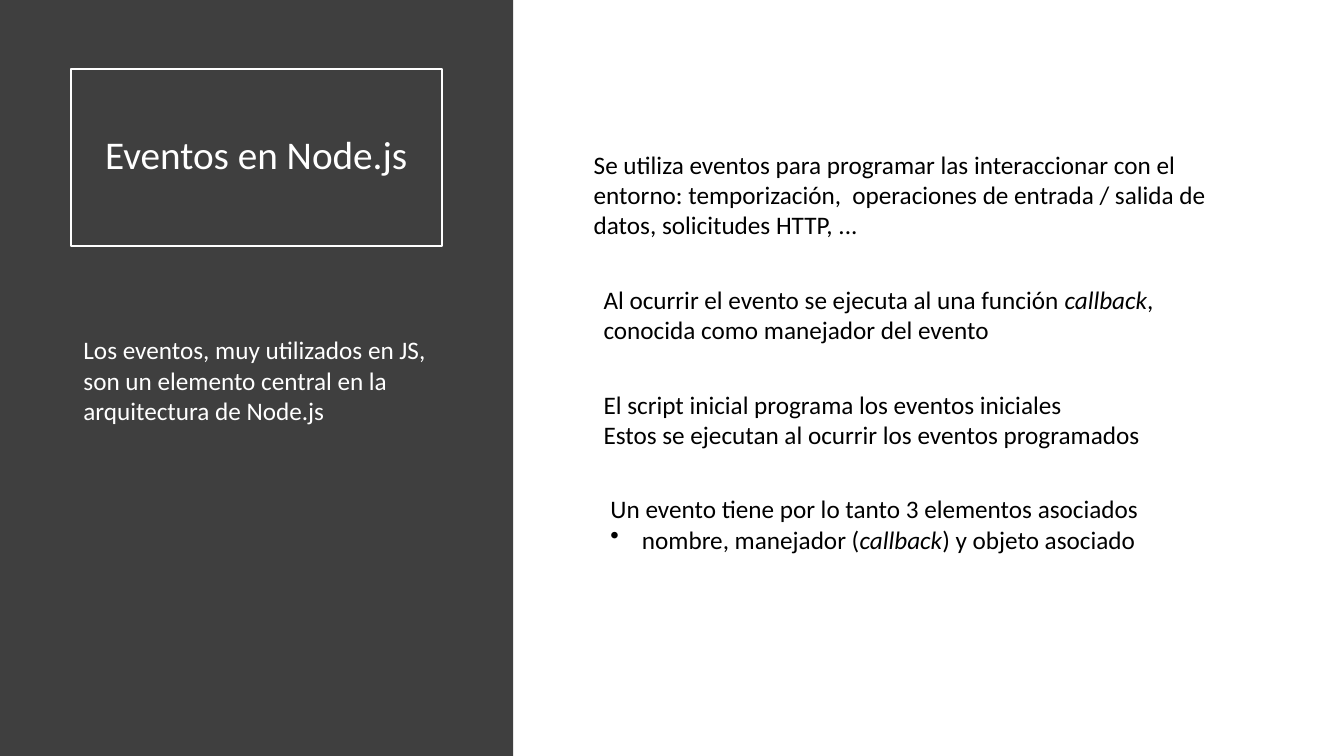
import lxml.etree
import pptx
import pptx.dml.color
import pptx.enum.shapes
import pptx.enum.text
import pptx.oxml.ns
import pptx.util

Pt = pptx.util.Pt
WHITE = pptx.dml.color.RGBColor(0xFF, 0xFF, 0xFF)
BLACK = pptx.dml.color.RGBColor(0, 0, 0)
CHARCOAL = pptx.dml.color.RGBColor(0x3F, 0x3F, 0x3F)


def write_paragraph(paragraph, text, size=18, color=BLACK, bullet=None, indent=22.5):
    """Fill a paragraph; parts of the text between asterisks are set in italics."""
    if bullet:
        properties = paragraph._p.get_or_add_pPr()
        properties.set("marL", str(Pt(indent)))
        properties.set("indent", str(-Pt(indent)))
        mark = lxml.etree.SubElement(properties, pptx.oxml.ns.qn("a:buChar"))
        mark.set("char", bullet)
    for position, part in enumerate(text.split("*")):
        run = paragraph.add_run()
        run.text = part
        run.font.name = "Calibri"
        run.font.size = Pt(size)
        run.font.color.rgb = color
        run.font.italic = position % 2 == 1


deck = pptx.Presentation()
deck.slide_width, deck.slide_height = Pt(960), Pt(540)
slide = deck.slides.add_slide(deck.slide_layouts[5])

title = slide.shapes.title
title.left, title.top, title.width, title.height = Pt(50.5), Pt(49), Pt(265), Pt(126.5)
title.line.color.rgb = WHITE
title.line.width = Pt(1.5)
title.text_frame.word_wrap = True
title.text_frame.auto_size = pptx.enum.text.MSO_AUTO_SIZE.NONE
title.text_frame.vertical_anchor = pptx.enum.text.MSO_ANCHOR.MIDDLE
heading = title.text_frame.paragraphs[0]
heading.alignment = pptx.enum.text.PP_ALIGN.CENTER
heading.line_spacing = 0.9
write_paragraph(heading, "Eventos en Node.js", size=28, color=WHITE)

side_panel = slide.shapes.add_shape(
    pptx.enum.shapes.MSO_SHAPE.RECTANGLE, 0, 0, Pt(366.5), deck.slide_height)
side_panel.shadow.inherit = False
side_panel.fill.solid()
side_panel.fill.fore_color.rgb = CHARCOAL
side_panel.line.fill.background()
title._element.addprevious(side_panel._element)  # the panel lies behind the title

# left, top, width, height, colour, paragraphs as (text, bullet)
statements = [
    (52.5, 235.5, 265, 72.7, WHITE, [
        ("Los eventos, muy utilizados en JS, son un elemento central en la "
         "arquitectura de Node.js", None)]),
    (417, 103, 478, 72.7, BLACK, [
        ("Se utiliza eventos para programar las interaccionar con el entorno: "
         "temporización,  operaciones de entrada / salida de datos, "
         "solicitudes HTTP, ...", None)]),
    (424, 199.5, 464.5, 51, BLACK, [
        ("Al ocurrir el evento se ejecuta al una función *callback*, conocida "
         "como manejador del evento", None)]),
    (424, 274.5, 478, 51, BLACK, [
        ("El script inicial programa los eventos iniciales", None),
        ("Estos se ejecutan al ocurrir los eventos programados", None)]),
    (429, 349, 473, 51, BLACK, [
        ("Un evento tiene por lo tanto 3 elementos asociados", None),
        ("nombre, manejador (*callback*) y objeto asociado", "•")]),
]
for left, top, width, height, color, lines in statements:
    statement = slide.shapes.add_textbox(Pt(left), Pt(top), Pt(width), Pt(height)).text_frame
    statement.word_wrap = True
    statement.auto_size = pptx.enum.text.MSO_AUTO_SIZE.SHAPE_TO_FIT_TEXT
    for number, (text, bullet) in enumerate(lines):
        paragraph = statement.add_paragraph() if number else statement.paragraphs[0]
        write_paragraph(paragraph, text, color=color, bullet=bullet)

deck.save("out.pptx")
